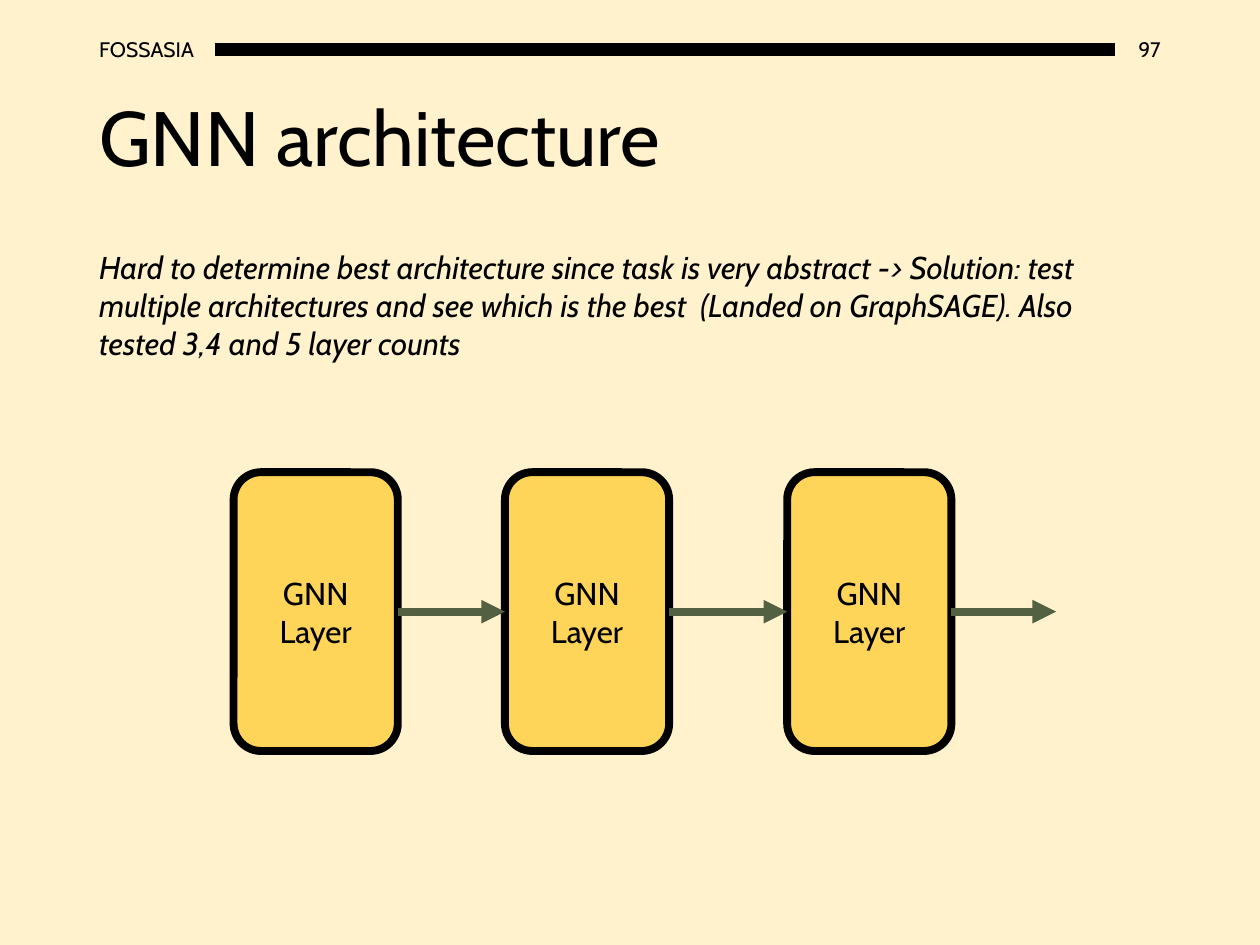
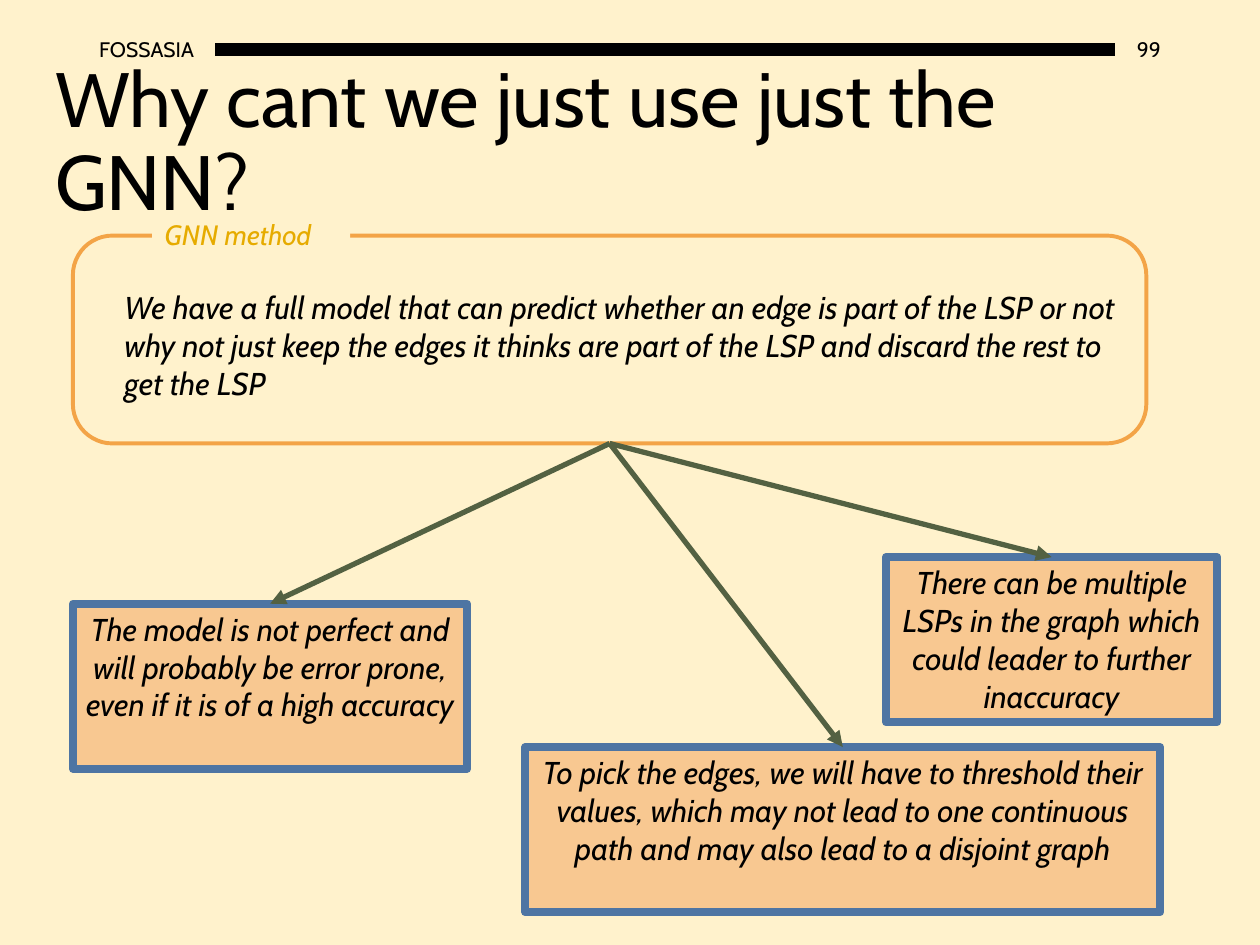
from pptx import Presentation
from pptx.dml.color import RGBColor
from pptx.enum.shapes import MSO_CONNECTOR, MSO_SHAPE
from pptx.enum.text import MSO_ANCHOR, PP_ALIGN
from pptx.oxml.ns import qn
from pptx.util import Cm, Pt
from lxml import etree

STRAIGHT = MSO_CONNECTOR.STRAIGHT
RECTANGLE, ROUNDED = MSO_SHAPE.RECTANGLE, MSO_SHAPE.ROUNDED_RECTANGLE
TOP, MIDDLE = MSO_ANCHOR.TOP, MSO_ANCHOR.MIDDLE
LEFT, CENTER, RIGHT = PP_ALIGN.LEFT, PP_ALIGN.CENTER, PP_ALIGN.RIGHT
TOP_SITE, LEFT_SITE, BOTTOM_SITE, RIGHT_SITE = range(4)

FONT = "Cabin"
COLORS = {
    "background": "FFF2CC",
    "text": "000000",
    "layer": "FFD559",
    "arrow": "536142",
    "method_line": "F3A447",
    "method_label": "E6AB00",
    "reason": "F8C891",
    "reason_line": "4E75A3",
}


def rgb(name):
    return RGBColor.from_string(COLORS[name])


def write(shape, text, size=18, color="text", italic=False, align=LEFT, anchor=TOP):
    frame = shape.text_frame
    frame.word_wrap = True
    frame.vertical_anchor = anchor
    paragraph = frame.paragraphs[0]
    paragraph.text = text
    paragraph.alignment = align
    font = paragraph.font
    font.name, font.size, font.italic = FONT, Pt(size), italic
    font.color.rgb = rgb(color)
    return paragraph


def add_text(slide, box, text, **style):
    """Add a text box; box is left, top, width, height in centimetres."""
    shape = slide.shapes.add_textbox(*map(Cm, box))
    return write(shape, text, **style)


def add_box(slide, kind, box, fill=None, line=None, line_width=4.5):
    shape = slide.shapes.add_shape(kind, *map(Cm, box))
    shape.shadow.inherit = False
    if fill:
        shape.fill.solid()
        shape.fill.fore_color.rgb = rgb(fill)
    else:
        shape.fill.background()
    if line:
        shape.line.color.rgb = rgb(line)
        shape.line.width = Pt(line_width)
    else:
        shape.line.fill.background()
    return shape


def add_line(slide, start, end, color, width):
    line = slide.shapes.add_connector(STRAIGHT, *map(Cm, start + end))
    line.line.color.rgb = rgb(color)
    line.line.width = Pt(width)
    etree.SubElement(line._element.spPr, qn("a:effectLst"))
    return line


def add_arrow(slide, start, end, width):
    arrow = add_line(slide, start, end, "arrow", width)
    etree.SubElement(arrow.line._get_or_add_ln(), qn("a:tailEnd"), type="triangle")
    return arrow


def add_base_slide(presentation, number, title, title_box):
    """Add a slide with the background, header band and title that all share."""
    slide = presentation.slides.add_slide(presentation.slide_layouts[6])
    slide.background.fill.solid()
    slide.background.fill.fore_color.rgb = rgb("background")
    add_text(slide, (22.48, 0.48, 1.17, 1.02), str(number),
             size=12, align=RIGHT, anchor=MIDDLE)
    add_text(slide, (1.75, 0.48, 2.59, 1.02), "FOSSASIA", size=12, anchor=MIDDLE)
    add_line(slide, (4.34, 1), (22.48, 1), "text", 7)
    heading = add_text(slide, title_box, title, size=44, anchor=MIDDLE)
    heading.line_spacing = 0.9
    return slide


def add_architecture_slide(presentation):
    slide = add_base_slide(presentation, 97, "GNN architecture", (1.75, 1.02, 21.9, 3.68))
    add_text(slide, (1.75, 4.88, 20.5, 2.57),
             "Hard to determine best architecture since task is very abstract -> "
             "Solution: test multiple architectures and see which is the best  "
             "(Landed on GraphSAGE). Also tested 3,4 and 5 layer counts", italic=True)

    top, width, height = 9.52, 3.31, 5.62
    middle = top + height / 2
    lefts = [4.71, 10.18, 15.87]
    layers = []
    for left in lefts:
        layer = add_box(slide, ROUNDED, (left, top, width, height), "layer", "text")
        write(layer, "GNN Layer", align=CENTER, anchor=MIDDLE)
        layers.append(layer)

    for index, (left, end) in enumerate(zip(lefts, lefts[1:] + [21.29])):
        arrow = add_arrow(slide, (left + width, middle), (end, middle), 4.5)
        arrow.begin_connect(layers[index], RIGHT_SITE)
        if index + 1 < len(layers):
            arrow.end_connect(layers[index + 1], LEFT_SITE)


def add_limits_slide(presentation):
    slide = add_base_slide(presentation, 99, "Why cant we just use just the GNN?",
                           (0.86, 1.07, 23.65, 3.68))
    method = add_box(slide, ROUNDED, (1.47, 4.75, 21.64, 4.19),
                     line="method_line", line_width=2.25)
    method.adjustments[0] = 0.19
    label = add_box(slide, RECTANGLE, (3.07, 4.27, 3.99, 0.94), "background")
    write(label, "GNN method", size=16, color="method_label", italic=True)
    add_text(slide, (2.26, 5.69, 20.5, 2.57),
             "We have a full model that can predict whether an edge is part of the LSP "
             "or not why not just keep the edges it thinks are part of the LSP and "
             "discard the rest to get the LSP", italic=True)

    reasons = [
        (1.47, 12.17, 7.95, "The model is not perfect and will probably be error prone, "
                            "even if it is of a high accuracy"),
        (10.59, 15.06, 12.8, "To pick the edges, we will have to threshold their values, "
                             "which may not lead to one continuous path and may also "
                             "lead to a disjoint graph"),
        (17.86, 11.23, 6.68, "There can be multiple LSPs in the graph which could "
                             "leader to further inaccuracy"),
    ]
    for left, top, width, text in reasons:
        reason = add_box(slide, RECTANGLE, (left, top, width, 3.33), "reason", "reason_line")
        write(reason, text, italic=True, align=CENTER)
        arrow = add_arrow(slide, (12.29, 8.94), (left + width / 2, top), 3)
        arrow.begin_connect(method, BOTTOM_SITE)
        arrow.end_connect(reason, TOP_SITE)


def main():
    presentation = Presentation()
    presentation.slide_width, presentation.slide_height = Cm(25.4), Cm(19.05)
    add_architecture_slide(presentation)
    add_limits_slide(presentation)
    presentation.save("out.pptx")


if __name__ == "__main__":
    main()
